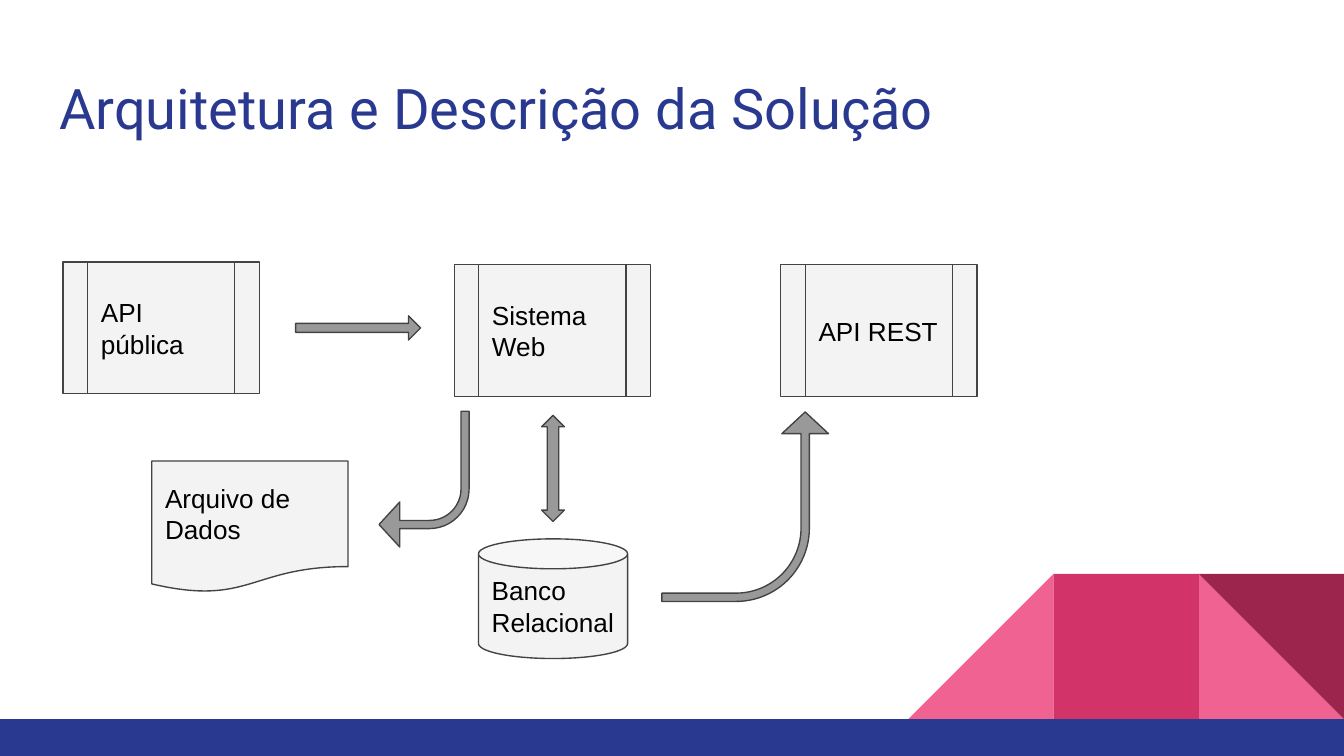
from pptx import Presentation
from pptx.dml.color import RGBColor
from pptx.enum.shapes import MSO_SHAPE
from pptx.enum.text import MSO_ANCHOR, MSO_AUTO_SIZE, PP_ALIGN
from pptx.util import Inches, Pt

PROCESS = MSO_SHAPE.FLOWCHART_PREDEFINED_PROCESS
DOCUMENT = MSO_SHAPE.FLOWCHART_DOCUMENT
DATABASE = MSO_SHAPE.CAN
RIGHT_ARROW = MSO_SHAPE.RIGHT_ARROW
BENT_ARROW = MSO_SHAPE.BENT_ARROW
TWO_WAY_ARROW = MSO_SHAPE.UP_DOWN_ARROW
TRIANGLE = MSO_SHAPE.RIGHT_TRIANGLE
RECTANGLE = MSO_SHAPE.RECTANGLE
TOP, MIDDLE = MSO_ANCHOR.TOP, MSO_ANCHOR.MIDDLE
LEFT = PP_ALIGN.LEFT

BLUE = RGBColor(0x2A, 0x39, 0x90)
PINK = RGBColor(0xF0, 0x62, 0x92)
MAGENTA = RGBColor(0xD2, 0x33, 0x69)
WINE = RGBColor(0x9C, 0x25, 0x4D)
PALE = RGBColor(0xF3, 0xF3, 0xF3)
GREY = RGBColor(0x99, 0x99, 0x99)
OUTLINE = RGBColor(0x43, 0x43, 0x43)
BLACK = RGBColor(0, 0, 0)

# The slide is a grid of square cells; boxes are (column, row, columns, rows)
COLUMNS, ROWS = 200, 112.5
CELL = Inches(0.05)
NODE_SIZE = (29.2, 19.6)


def cells(count):
    return round(count * CELL)


def within(box, column, row, columns, rows):
    return box[0] + column, box[1] + row, columns, rows


def write(shape, *lines, size=14, font="Arial", color=BLACK, anchor=MIDDLE):
    frame = shape.text_frame
    frame.word_wrap = True
    frame.auto_size = MSO_AUTO_SIZE.NONE
    frame.vertical_anchor = anchor
    frame.margin_left = frame.margin_right = cells(2)
    frame.margin_top = frame.margin_bottom = cells(2)
    for index, line in enumerate(lines):
        paragraph = frame.add_paragraph() if index else frame.paragraphs[0]
        paragraph.alignment = LEFT
        run = paragraph.add_run()
        run.text = line
        run.font.size, run.font.name = Pt(size), font
        run.font.color.rgb = color


def draw(slide, kind, box, fill, outline=None, adjust=(), turn=0, flip=False):
    shape = slide.shapes.add_shape(kind, *map(cells, box))
    shape.shadow.inherit = False
    shape.fill.solid()
    shape.fill.fore_color.rgb = fill
    if outline is None:
        shape.line.fill.background()
    else:
        shape.line.color.rgb = outline
        shape.line.width = Pt(0.75)
    for index, value in enumerate(adjust):
        shape.adjustments[index] = value
    shape.rotation = turn
    if flip:
        shape._element.spPr.xfrm.set("flipH", "1")
    return shape


def add_title(slide, box):
    title = slide.shapes.title
    title.left, title.top, title.width, title.height = map(cells, box)
    write(title, "Arquitetura e Descrição da Solução",
          size=30, font="Roboto", color=BLUE, anchor=TOP)


def add_footer(slide, box):
    # Three square tiles stand on the right end of a full-width band
    left, top, width, height = box
    tile, band = 21.6, 5.5
    tiles = [
        (2, TRIANGLE, PINK, 0, False),
        (0, TRIANGLE, PINK, 0, True),
        (1, RECTANGLE, MAGENTA, 0, False),
        (2, TRIANGLE, WINE, 180, False),
    ]
    for position, kind, color, turn, flip in tiles:
        column = width - (3 - position) * tile
        draw(slide, kind, within(box, column, height - band - tile, tile, tile),
             color, turn=turn, flip=flip)
    draw(slide, RECTANGLE, within(box, 0, height - band, width, band), BLUE)


def add_diagram(slide, box):
    # Components of the solution
    nodes = [
        (PROCESS, (0, 0, *NODE_SIZE), ["API pública"]),
        (PROCESS, (58.2, 0.4, *NODE_SIZE), ["Sistema", "Web"]),
        (PROCESS, (106.8, 0.4, *NODE_SIZE), ["API REST"]),
        (DOCUMENT, (13.2, 29.6, *NODE_SIZE), ["Arquivo de Dados"]),
        (DATABASE, (61.8, 41.2, 22.2, 17.8), ["Banco", "Relacional"]),
    ]
    for kind, place, lines in nodes:
        write(draw(slide, kind, within(box, *place), PALE, OUTLINE), *lines)

    # Data flows between them
    flows = [
        (RIGHT_ARROW, (34.6, 8, 18.6, 3.6), (0.37, 0.5), 0, False),
        (BENT_ARROW, (47, 22.2, 13.4, 20.2), (0.09, 0.25, 0.23, 0.44), 180, False),
        (TWO_WAY_ARROW, (71.2, 22.8, 3.4, 15.8), (0.5, 0.5), 0, False),
        (BENT_ARROW, (87.4, 24, 28.2, 24.8), (0.05, 0.14, 0.13, 0.44), 90, True),
    ]
    for kind, place, adjust, turn, flip in flows:
        draw(slide, kind, within(box, *place), GREY, OUTLINE, adjust, turn, flip)


def main():
    deck = Presentation()
    deck.slide_width, deck.slide_height = cells(COLUMNS), cells(ROWS)
    slide = deck.slides.add_slide(deck.slide_layouts[5])
    add_footer(slide, (0, 0, COLUMNS, ROWS))
    add_title(slide, (6.8, 9, 186.4, 13.2))
    add_diagram(slide, (9.4, 39, 136, 59))
    deck.save("out.pptx")


if __name__ == "__main__":
    main()
